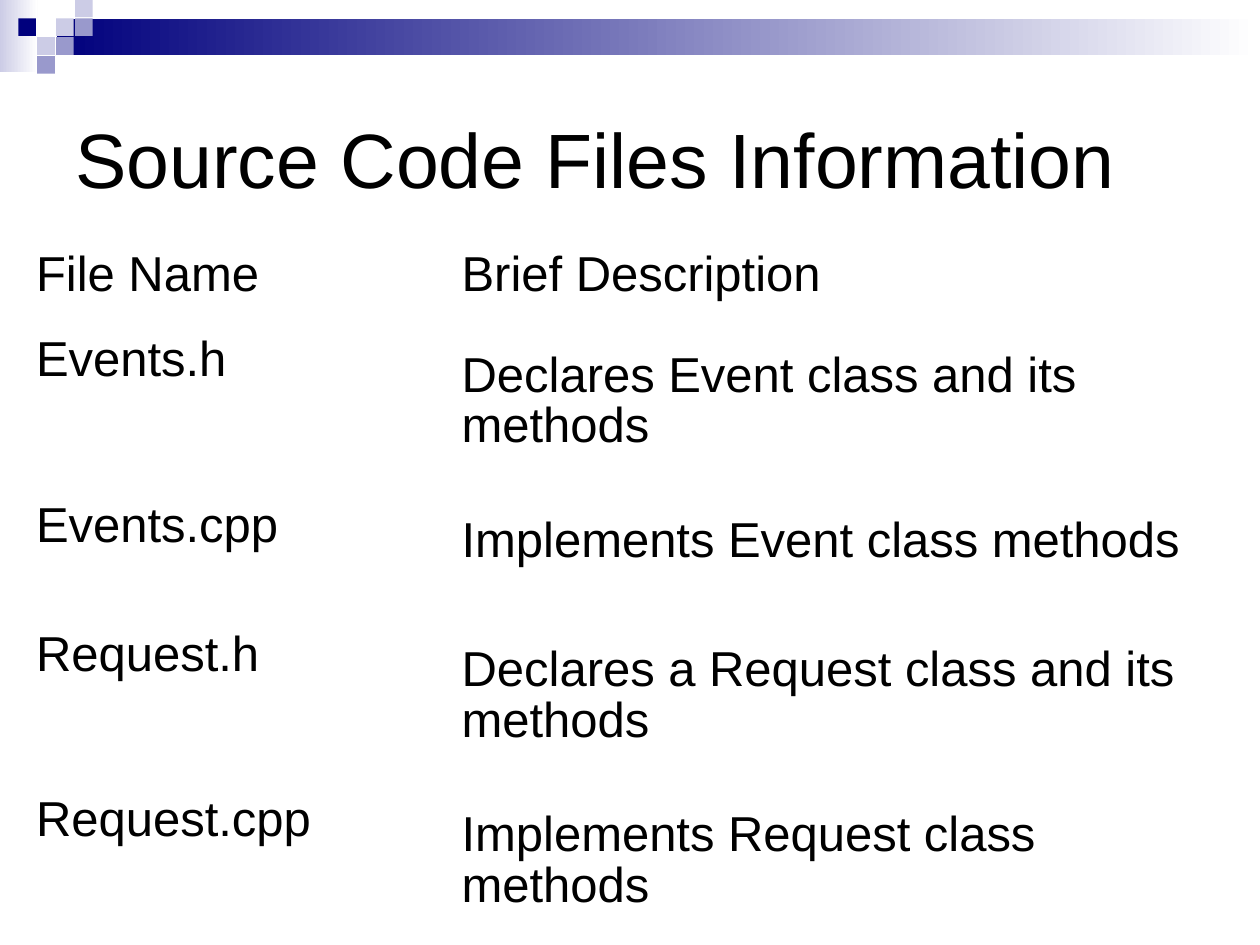
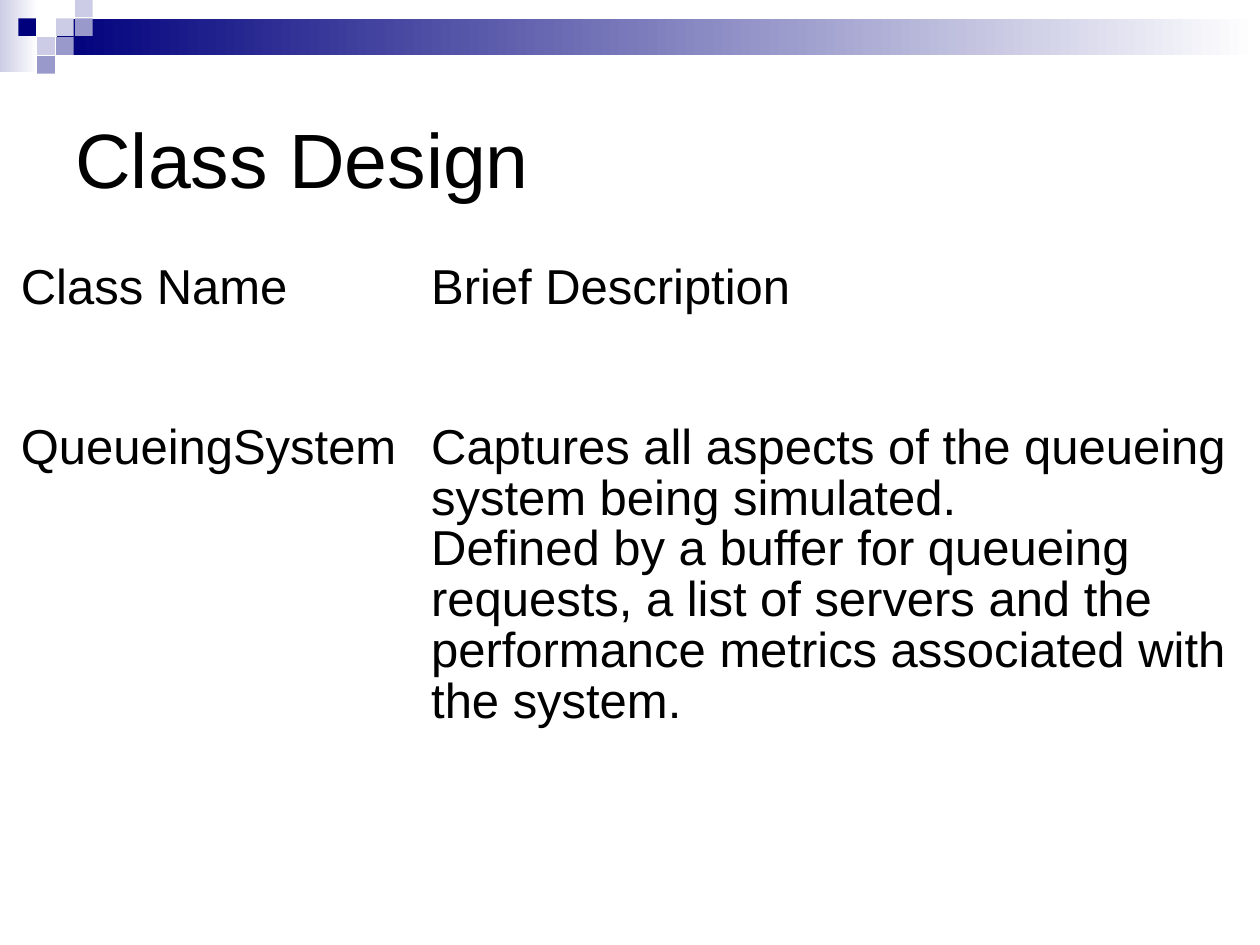
from lxml import etree
from pptx import Presentation
from pptx import util as u
from pptx.dml.color import RGBColor
from pptx.enum import shapes, text
from pptx.oxml import ns

Pt = u.Pt
WHITE = RGBColor(0xFF, 0xFF, 0xFF)
BLACK = RGBColor(0x00, 0x00, 0x00)
NAVY = RGBColor(0x00, 0x00, 0x7D)
LILAC = RGBColor(0xCC, 0xCC, 0xE6)
MAUVE = RGBColor(0x99, 0x99, 0xCC)

FONT = "Arial"
TITLE_SIZE, TABLE_SIZE = 44, 28
TIGHT, NORMAL = 0.58, 0.93  # line spacing
BAND_BOX = (0, 0, 718.5, 41)
TITLE_BOX = (36, 36, 648, 108)
PITCH, SQUARE = 10.8, 10.1
# Column, row and colour of each small square
SQUARES = [(3, 1, LILAC), (4, 0, LILAC), (4, 1, MAUVE), (2, 2, LILAC),
           (1, 1, NAVY), (3, 2, MAUVE), (2, 3, MAUVE)]


def add_rect(s, x, y, w, h, color, fade=False):
    sp = s.shapes.add_shape(shapes.MSO_SHAPE.RECTANGLE, Pt(x), Pt(y), Pt(w), Pt(h))
    sp.shadow.inherit = False
    sp.line.fill.background()
    if fade:
        sp.fill.gradient()
        sp.fill.gradient_angle = 0
        for stop, c in zip(sp.fill.gradient_stops, (color, WHITE)):
            stop.color.rgb = c
    else:
        sp.fill.solid()
        sp.fill.fore_color.rgb = color


def style(p, size):
    p.font.name = FONT
    p.font.size = Pt(size)
    p.font.color.rgb = BLACK


def add_band(s, box):
    x, y, w, h = box
    bar_x = 3 * PITCH
    add_rect(s, x, y, 2 * PITCH, h, LILAC, fade=True)
    add_rect(s, x + bar_x, y + PITCH, w - bar_x, 2 * PITCH - 0.7, NAVY, fade=True)
    for col, row, color in SQUARES:
        add_rect(s, x + col * PITCH - 0.3, y + row * PITCH - 0.3, SQUARE, SQUARE, color)


def add_title(s, box, title):
    tf = s.shapes.add_textbox(*map(Pt, box)).text_frame
    tf.word_wrap = True
    tf.vertical_anchor = text.MSO_ANCHOR.MIDDLE
    p = tf.paragraphs[0]
    p.text = title
    style(p, TITLE_SIZE)


def clear_cell(cell):
    """Remove the borders and the fill of the table style."""
    tc_pr = cell._tc.get_or_add_tcPr()
    for side in ("a:lnL", "a:lnR", "a:lnT", "a:lnB"):
        ln = etree.SubElement(tc_pr, ns.qn(side))
        etree.SubElement(ln, ns.qn("a:noFill"))
    cell.fill.background()


def add_table(s, x, y, widths, heights, rows, spacings):
    """Each row of spacings gives the line spacing of its two cells."""
    frame = s.shapes.add_table(len(rows), len(widths), Pt(x), Pt(y),
                               Pt(sum(widths)), Pt(sum(heights)))
    tbl = frame.table
    tbl.first_row = tbl.horz_banding = False
    for column, w in zip(tbl.columns, widths):
        column.width = Pt(w)
    for row, h, words, spacing in zip(tbl.rows, heights, rows, spacings):
        row.height = Pt(h)
        for cell, content, ls in zip(row.cells, words, spacing):
            clear_cell(cell)
            cell.text = content
            paragraphs = cell.text_frame.paragraphs
            for p in paragraphs:
                style(p, TABLE_SIZE)
                p.line_spacing = ls
                p.space_before = Pt(7 if len(paragraphs) == 1 else 0)


def add_slide(prs, title):
    s = prs.slides.add_slide(prs.slide_layouts[6])
    add_band(s, BAND_BOX)
    add_title(s, TITLE_BOX, title)
    return s


def build_files(prs):
    s = add_slide(prs, "Source Code Files Information")
    rows = [
        ("File Name", "Brief Description"),
        ("Events.h", "Declares Event class and its methods"),
        ("Events.cpp", "Implements Event class methods"),
        ("Request.h", "Declares a Request class and its methods"),
        ("Request.cpp", "Implements Request class methods"),
    ]
    add_table(s, 13.4, 148.5, (243.2, 448), (48.8, 94.5, 73.6, 94.5, 94.5), rows,
              [(TIGHT, TIGHT)] + [(TIGHT, NORMAL)] * 4)


def build_classes(prs):
    s = add_slide(prs, "Class Design")
    rows = [
        ("Class Name", "Brief Description"),
        ("QueueingSystem",
         "Captures all aspects of the queueing system being simulated.\n"
         "Defined by a buffer for queueing requests, a list of servers and "
         "the performance metrics associated with the system."),
    ] + [("", "")] * 4
    add_table(s, 4.7, 156, (234.5, 479.5), [82.5, 276] + [65.7] * 4, rows,
              [(TIGHT, TIGHT)] + [(NORMAL, NORMAL)] * 5)


def main():
    prs = Presentation()
    prs.slide_width, prs.slide_height = Pt(720), Pt(540)
    build_files(prs)
    build_classes(prs)
    prs.save("out.pptx")


if __name__ == "__main__":
    main()
